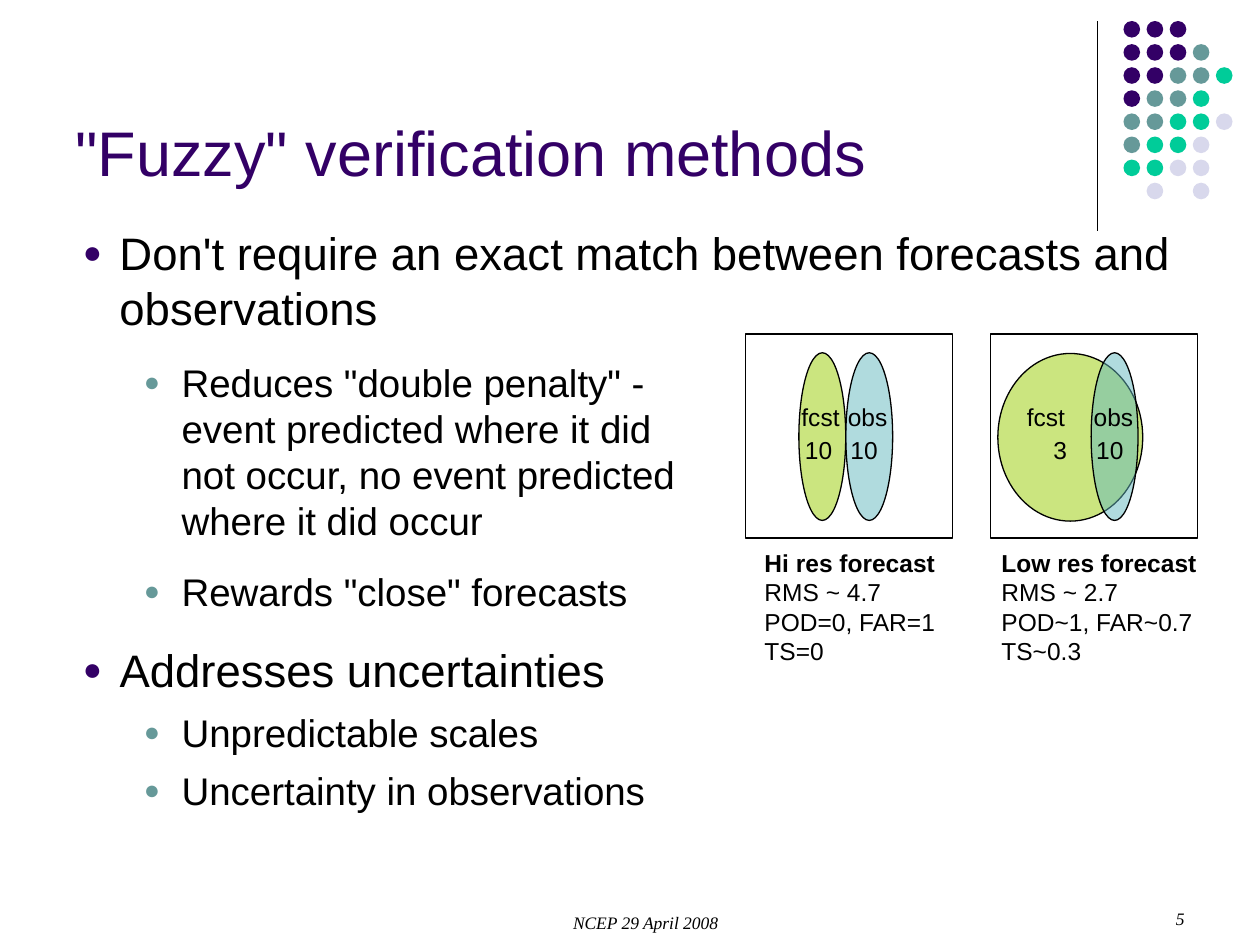
from dataclasses import dataclass
from pptx import Presentation
from pptx.dml.color import RGBColor
from pptx.enum.shapes import MSO_CONNECTOR, MSO_SHAPE
from pptx.enum.text import MSO_ANCHOR, MSO_AUTO_SIZE, PP_ALIGN
from pptx.oxml.ns import qn
from pptx.util import Pt
from lxml.etree import SubElement


@dataclass(frozen=True)
class Theme:
    """Colours, fonts and type sizes of the slide."""
    ink: str = "000000"
    plum: str = "330066"
    teal: str = "669999"
    mint: str = "00CC99"
    mist: str = "D8D8EC"
    lime: str = "99CC00"
    aqua: str = "63B8BF"
    sans: str = "Arial"
    serif: str = "Times New Roman"
    title: int = 36
    main: int = 26
    sub: int = 22
    label: int = 14
    foot: int = 10


THEME = Theme()
DOTS = ("ppp", "pppt", "ppttm", "pttm", "ttmms", "tmms", "mmss", " s s")
HUES = {"p": THEME.plum, "t": THEME.teal, "m": THEME.mint, "s": THEME.mist}


def rgb(code):
    """Turn a hex code into a colour."""
    return RGBColor.from_string(code)


def write(para, text, size=THEME.label, font=THEME.sans, color=THEME.ink,
          bold=False, italic=False, align=PP_ALIGN.LEFT, gap=0):
    """Put formatted text into a paragraph."""
    para.alignment = align
    para.space_before = Pt(gap)
    run = para.add_run()
    run.text = text
    face = run.font
    face.size, face.name, face.bold, face.italic = Pt(size), font, bold, italic
    face.color.rgb = rgb(color)


def add_box(slide, left, top, width, height, wrap=True, side=7.2):
    """Add an empty text box and return its frame."""
    box = slide.shapes.add_textbox(Pt(left), Pt(top), Pt(width), Pt(height))
    frame = box.text_frame
    frame.word_wrap = wrap
    frame.margin_left = frame.margin_right = Pt(side)
    return frame


def add_lines(frame, lines):
    """Fill a frame with (text, format) pairs, one paragraph each."""
    for i, (text, style) in enumerate(lines):
        para = frame.add_paragraph() if i else frame.paragraphs[0]
        write(para, text, **style)


def add_list(slide, place, items):
    """Add a bulleted list of (level, gap, text) items."""
    frame = add_box(slide, *place)
    looks = ((20.9, 20.9, THEME.plum, THEME.main), (56.4, 21.6, THEME.teal, THEME.sub))
    for i, (level, gap, text) in enumerate(items):
        para = frame.add_paragraph() if i else frame.paragraphs[0]
        para.level = level
        left, hang, color, size = looks[level]
        props = para._p.get_or_add_pPr()
        props.set("marL", str(Pt(left)))
        props.set("indent", str(-Pt(hang)))
        SubElement(SubElement(props, qn("a:buClr")), qn("a:srgbClr"), val=color)
        SubElement(props, qn("a:buSzPct"), val="70000")
        SubElement(props, qn("a:buFont"), typeface=THEME.sans)
        SubElement(props, qn("a:buChar"), char="●")
        write(para, text, size=size, gap=gap)


def add_form(slide, kind, left, top, width, height, fill=None, alpha=100, edge=True):
    """Add a preset shape with optional fill, opacity and outline."""
    form = slide.shapes.add_shape(kind, Pt(left), Pt(top), Pt(width), Pt(height))
    form.shadow.inherit = False
    if fill:
        form.fill.solid()
        form.fill.fore_color.rgb = rgb(fill)
        if alpha < 100:
            tint = form.element.spPr.find(qn("a:solidFill")).find(qn("a:srgbClr"))
            SubElement(tint, qn("a:alpha"), val=str(alpha * 1000))
    else:
        form.fill.background()
    if edge:
        form.line.color.rgb = rgb(THEME.ink)
        form.line.width = Pt(0.75)
    else:
        form.line.fill.background()


def add_decor(slide):
    """Draw the corner rule and the dot pattern."""
    rule = slide.shapes.add_connector(
        MSO_CONNECTOR.STRAIGHT, Pt(627), Pt(12.2), Pt(627), Pt(131.8))
    rule.line.color.rgb = rgb(THEME.ink)
    rule.line.width = Pt(0.75)
    SubElement(rule.element.spPr, qn("a:effectLst"))
    for row, marks in enumerate(DOTS):
        for col, mark in enumerate(marks):
            if mark in HUES:
                add_form(slide, MSO_SHAPE.OVAL, 642 + 13.2 * col, 12 + 13.2 * row,
                         9.5, 9.5, HUES[mark], edge=False)


def add_title(slide, text):
    """Place and format the title."""
    head = slide.shapes.title
    head.left, head.top, head.width, head.height = Pt(36), Pt(9.4), Pt(594), Pt(102.2)
    frame = head.text_frame
    frame.auto_size = MSO_AUTO_SIZE.NONE
    frame.vertical_anchor = MSO_ANCHOR.BOTTOM
    write(frame.paragraphs[0], text, size=THEME.title, color=THEME.plum)


def add_panel(slide, left, fcst, obs, labels, stats, shift):
    """Draw one forecast panel with its ovals, labels and scores."""
    add_form(slide, MSO_SHAPE.OVAL, *fcst, 95.8, THEME.lime, 50)
    add_form(slide, MSO_SHAPE.RECTANGLE, left, 190.8, 118.2, 116.6)
    add_form(slide, MSO_SHAPE.OVAL, obs, 201.6, 26.8, 95.8, THEME.aqua, 50)
    for text, spot, top, width in labels:
        frame = add_box(slide, spot, top, width, 24.5, wrap=False, side=0)
        write(frame.paragraphs[0], text)
    frame = add_box(slide, left + shift, 309.6, 128, 74.9)
    add_lines(frame, [(text, {"bold": not i}) for i, text in enumerate(stats)])


def add_foot(slide, place, text, align):
    """Add an italic footer text."""
    write(add_box(slide, *place).paragraphs[0], text, size=THEME.foot,
          font=THEME.serif, italic=True, align=align)


def main():
    """Build the slide and save it."""
    deck = Presentation()
    deck.slide_width, deck.slide_height = Pt(720), Pt(540)
    slide = deck.slides.add_slide(deck.slide_layouts[5])
    add_decor(slide)
    add_title(slide, '"Fuzzy" verification methods')
    add_list(slide, (40.3, 125.3, 665.3, 70), [
        (0, 0, "Don't require an exact match between forecasts and observations")])
    add_panel(slide, 426.2, (456.5, 201.6, 26.8), 483.3,
              [("fcst", 458, 226.1, 25), ("10", 460, 244.8, 17),
               ("obs", 484.5, 226.1, 25), ("10", 486, 244.8, 17)],
              ["Hi res forecast", "RMS ~ 4.7", "POD=0, FAR=1", "TS=0"], 3.6)
    add_panel(slide, 566, (570.2, 202, 82.8), 623.5,
              [("fcst", 586.8, 226.1, 25), ("3", 602, 244.8, 9),
               ("obs", 625, 226.1, 25), ("10", 626.4, 244.8, 17)],
              ["Low res forecast", "RMS ~ 2.7", "POD~1, FAR~0.7", "TS~0.3"], -0.8)
    add_list(slide, (40.3, 201.6, 365.8, 299.5), [
        (1, 0, 'Reduces "double penalty" - event predicted where it did not occur, '
               'no event predicted where it did occur'),
        (1, 13.8, 'Rewards "close" forecasts'),
        (0, 16.2, "Addresses uncertainties"),
        (1, 6.9, "Unpredictable scales"),
        (1, 6.9, "Uncertainty in observations")])
    add_foot(slide, (254.8, 517.7, 228.2, 18.7), "NCEP 29 April 2008", PP_ALIGN.CENTER)
    add_foot(slide, (516.2, 515.5, 167.8, 19.4), "5", PP_ALIGN.RIGHT)
    deck.save("out.pptx")


if __name__ == "__main__":
    main()
